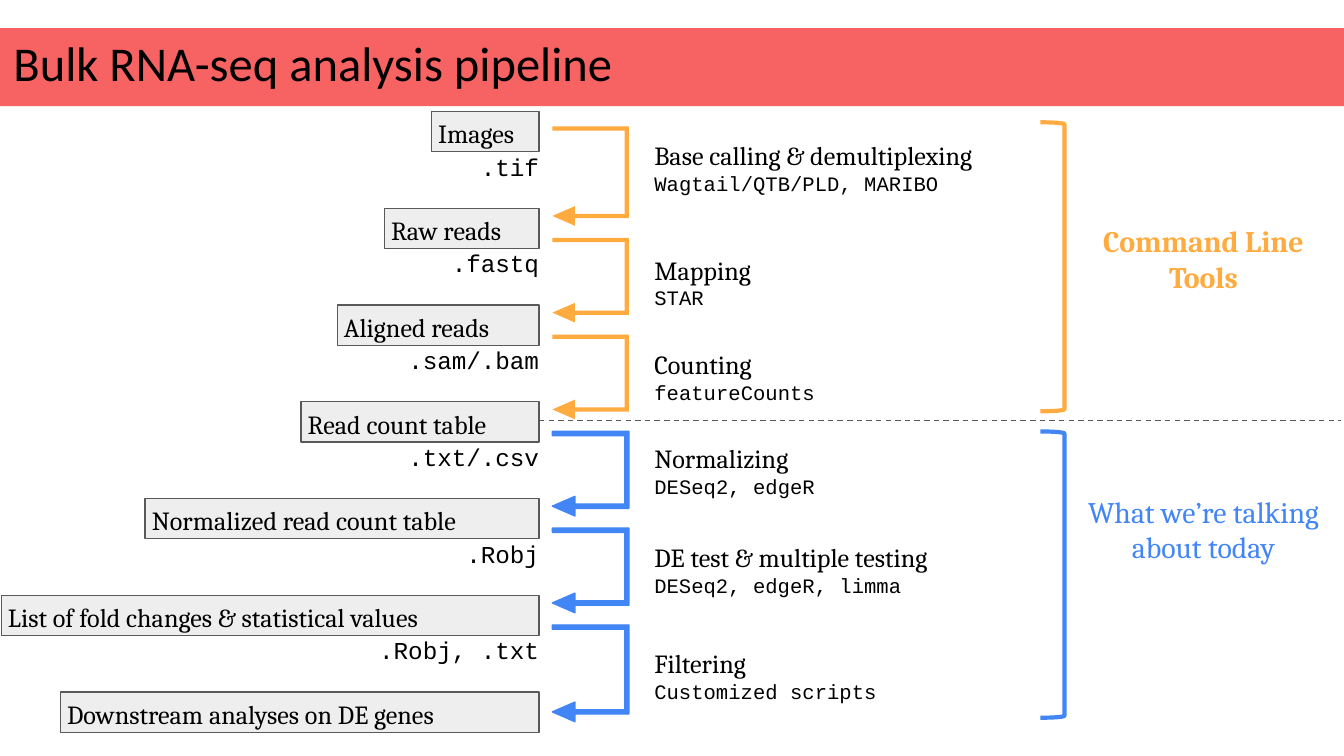
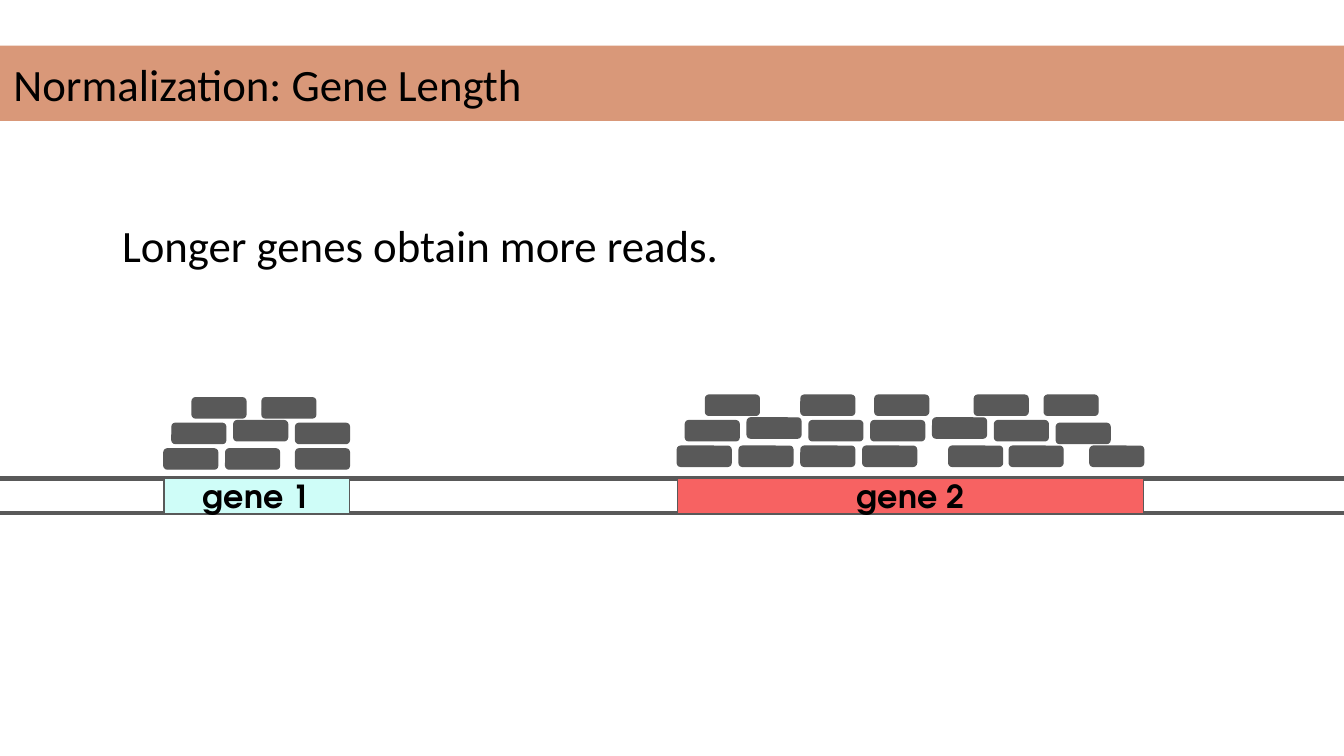
from lxml.etree import SubElement
from pptx import Presentation
from pptx.dml.color import RGBColor
from pptx.enum.dml import MSO_LINE
from pptx.enum.shapes import MSO_CONNECTOR, MSO_SHAPE
from pptx.enum.text import MSO_ANCHOR as ANCHOR, MSO_AUTO_SIZE as FIT, PP_ALIGN as ALIGN
from pptx.oxml.ns import qn
from pptx.util import Pt

PX = 9144  # 100 px to the inch
WIDTH = 1000
HEIGHT = WIDTH * 9 / 16

COLORS = {
    "black": "000000", "grey": "595959", "box": "EEEEEE", "red": "F76262",
    "tan": "D99879", "mint": "CFFDF8", "orange": "FFAB40", "blue": "4285F4",
}
FONTS = {
    "title": {"name": "Calibri", "size": Pt(26)},
    "large": {"name": "Calibri", "size": Pt(24)},
    "stage": {"name": "Cambria", "size": Pt(14)},
    "tools": {"name": "Courier New", "size": Pt(11)},
    "format": {"name": "Courier New", "size": Pt(13)},
    "scope": {"name": "Cambria", "size": Pt(16)},
    "scope bold": {"name": "Cambria", "size": Pt(16), "bold": True},
    "gene": {"name": "TeX Gyre Adventor", "size": Pt(17), "bold": True},
}

# stage, box width, file format, format width
STAGES = [
    ("Images", 80, ".tif", 80),
    ("Raw reads", 115, ".fastq", 80),
    ("Aligned reads", 150, ".sam/.bam", 150),
    ("Read count table", 177, ".txt/.csv", 177),
    ("Normalized read count table", 293, ".Robj", 80),
    ("List of fold changes & statistical values", 400, ".Robj, .txt", 266),
    ("Downstream analyses on DE genes", 356, None, 0),
]
STAGE_TOP, STAGE_PITCH, STAGE_HEIGHT, STAGE_RIGHT = 83, 72, 30, 401

# step, tools, text top, text width, arrow top, arrow length, colour
STEPS = [
    ("Base calling & demultiplexing", "Wagtail/QTB/PLD, MARIBO", 94, 338, 94, 74, "orange"),
    ("Mapping", "STAR", 179, 338, 177, 63, "orange"),
    ("Counting", "featureCounts", 249, 261, 249, 63, "orange"),
    ("Normalizing", "DESeq2, edgeR", 319, 338, 321, 63, "blue"),
    ("DE test & multiple testing", "DESeq2, edgeR, limma", 393, 400, 393, 63, "blue"),
    ("Filtering", "Customized scripts", 472, 400, 465, 72, "blue"),
]
ARROW_LEFT, ARROW_DEPTH = 411, 57
ARROW_ADJUST = [0.056, 0.128, 0.294, 0, 1]

# text, font, colour, bracket top, bracket height, text top, text height
SCOPES = [
    ("Command Line Tools", "scope bold", "orange", 91, 215, 156, 74),
    ("What we’re talking about today", "scope", "blue", 321, 213, 357, 101),
]

STRAND_TOP, STRAND_BOTTOM = 356, 382
# name, left, width, fill
GENES = [("gene 1", 122, 138, "mint"), ("gene 2", 504, 347, "red")]
# top of a row of reads: left edges
READS = [
    (334, [122, 168, 220]),
    (315, [128, 220, 786]),
    (313, [174, 510, 602, 648, 740]),
    (296, [143, 195]),
    (332, [504, 550, 596, 642, 706, 751, 811]),
    (311, [556, 694]),
    (294, [525, 596, 651, 725, 777]),
]
READ_WIDTH, READ_HEIGHT = 40, 15


def px(*lengths):
    return [round(n * PX) for n in lengths]


def rgb(color):
    return RGBColor.from_string(COLORS[color])


def set_attrs(obj, values):
    for name, value in values.items():
        setattr(obj, name, value)


def write(sp, lines, color="black", align=ALIGN.LEFT, anchor=ANCHOR.TOP,
          insets=(10, 10, 10, 10), fit=FIT.NONE, spacing=1.0):
    """Write (text, font) lines, one paragraph each."""
    tf = sp.text_frame
    sides = ("margin_left", "margin_top", "margin_right", "margin_bottom")
    set_attrs(tf, {"word_wrap": True, "auto_size": fit, "vertical_anchor": anchor,
                   **dict(zip(sides, px(*insets)))})
    for i, (text, font) in enumerate(lines):
        p = tf.paragraphs[0] if i == 0 else tf.add_paragraph()
        set_attrs(p, {"alignment": align, "line_spacing": spacing})
        r = p.add_run()
        r.text = text
        set_attrs(r.font, FONTS[font])
        r.font.color.rgb = rgb(color)


def add_text(slide, box, lines, **layout):
    sp = slide.shapes.add_textbox(*px(*box))
    write(sp, lines, fit=FIT.SHAPE_TO_FIT_TEXT, **layout)


def add_shape(slide, kind, box, fill=None, line=None, weight=0.75, adjust=(), rotation=0):
    sp = slide.shapes.add_shape(kind, *px(*box))
    sp.shadow.inherit = False
    sp.rotation = rotation
    for i, value in enumerate(adjust):
        sp.adjustments[i] = value
    if fill:
        sp.fill.solid()
        sp.fill.fore_color.rgb = rgb(fill)
    else:
        sp.fill.background()
    if line:
        sp.line.color.rgb = rgb(line)
        sp.line.width = Pt(weight)
    else:
        sp.line.fill.background()
    return sp


def add_line(slide, left, right, y, weight, dash=None):
    cxn = slide.shapes.add_connector(MSO_CONNECTOR.STRAIGHT, *px(left, y, right, y))
    cxn.line.color.rgb = rgb("grey")
    set_attrs(cxn.line, {"width": Pt(weight), "dash_style": dash})
    SubElement(cxn._element.spPr, qn("a:effectLst"))


def add_slide(prs, title, font, top, height, fill, spacing=1.0):
    """Add a slide whose title is a full-width coloured band."""
    slide = prs.slides.add_slide(prs.slide_layouts[5])
    sp = slide.shapes.title
    set_attrs(sp, dict(zip(("left", "top", "width", "height"), px(0, top, WIDTH, height))))
    sp.fill.solid()
    sp.fill.fore_color.rgb = rgb(fill)
    write(sp, [(title, font)], anchor=ANCHOR.MIDDLE, spacing=spacing)
    return slide


def build_pipeline(prs):
    slide = add_slide(prs, "Bulk RNA-seq analysis pipeline", "title", 21, 58, "red", 0.8)

    for i, (stage, width, file_format, format_width) in enumerate(STAGES):
        top = STAGE_TOP + i * STAGE_PITCH
        sp = add_shape(slide, MSO_SHAPE.RECTANGLE,
                       (STAGE_RIGHT - width, top, width, STAGE_HEIGHT), "box", "grey")
        write(sp, [(stage, "stage")], anchor=ANCHOR.BOTTOM, insets=(5, 0, 0, 2))
        if file_format:
            box = (STAGE_RIGHT - format_width, top + STAGE_HEIGHT, format_width, 22)
            add_text(slide, box, [(file_format, "format")],
                     align=ALIGN.RIGHT, insets=(0, 0, 0, 0))

    for step, tools, top, width, arrow_top, length, color in STEPS:
        # The frame is given before its quarter turn about the centre
        shift = (length - ARROW_DEPTH) / 2
        add_shape(slide, MSO_SHAPE.U_TURN_ARROW,
                  (ARROW_LEFT - shift, arrow_top + shift, length, ARROW_DEPTH),
                  color, "blue" if color == "blue" else None,
                  adjust=ARROW_ADJUST, rotation=90)
        add_text(slide, (477, top, width, 62), [(step, "stage"), (tools, "tools")])

    for text, font, color, top, height, text_top, text_height in SCOPES:
        add_shape(slide, MSO_SHAPE.LEFT_BRACKET, (774, top, 18, height),
                  line=color, weight=2.25, adjust=[0.083], rotation=180)
        add_text(slide, (791, text_top, 209, text_height), [(text, font)],
                 color=color, align=ALIGN.CENTER)
    add_line(slide, STAGE_RIGHT, 998, 313, 0.75, MSO_LINE.DASH)


def build_gene_length(prs):
    slide = add_slide(prs, "Normalization: Gene Length", "large", 34, 56, "tan")

    for y in (STRAND_TOP, STRAND_BOTTOM):
        add_line(slide, 0, WIDTH, y, 2.25)
    for name, left, width, fill in GENES:
        sp = add_shape(slide, MSO_SHAPE.RECTANGLE,
                       (left, STRAND_TOP, width, STRAND_BOTTOM - STRAND_TOP), fill, "grey")
        write(sp, [(name, "gene")], align=ALIGN.CENTER, anchor=ANCHOR.MIDDLE)
    for top, lefts in READS:
        for left in lefts:
            add_shape(slide, MSO_SHAPE.ROUNDED_RECTANGLE,
                      (left, top, READ_WIDTH, READ_HEIGHT), "grey", "grey")
    add_text(slide, (81, 152, 861, 61), [("Longer genes obtain more reads.", "large")])


def main():
    prs = Presentation()
    prs.slide_width, prs.slide_height = px(WIDTH, HEIGHT)
    build_pipeline(prs)
    build_gene_length(prs)
    prs.save("out.pptx")


if __name__ == "__main__":
    main()
